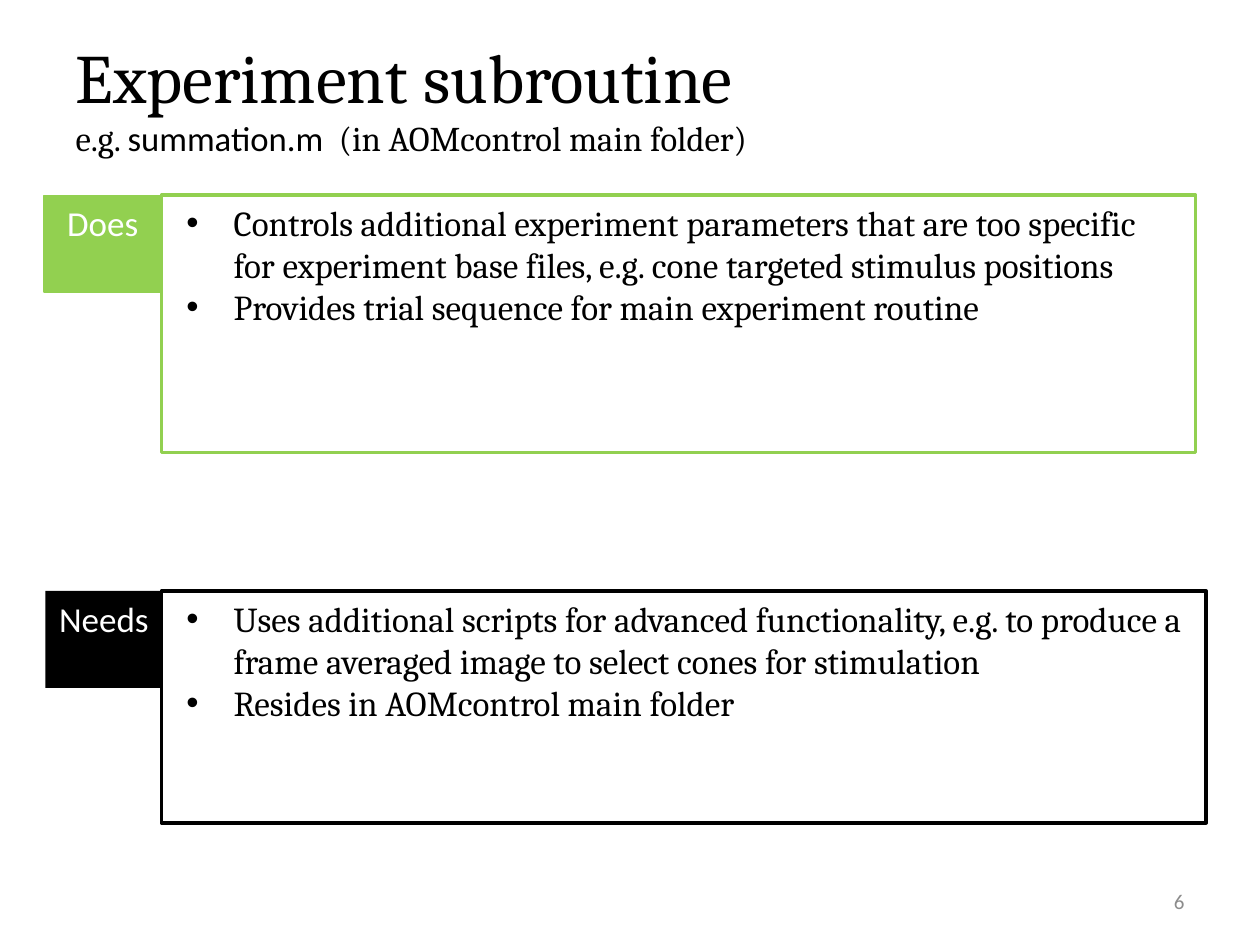
from pptx import Presentation
from pptx.dml.color import RGBColor
from pptx.enum.shapes import MSO_SHAPE
from pptx.enum.text import MSO_ANCHOR, MSO_AUTO_SIZE, PP_ALIGN
from pptx.oxml.ns import qn
from pptx.util import Pt

RECT, FRAME = MSO_SHAPE.RECTANGLE, MSO_SHAPE.FLOWCHART_PROCESS
TOP, MIDDLE = MSO_ANCHOR.TOP, MSO_ANCHOR.MIDDLE
LEFT, CENTER, RIGHT = PP_ALIGN.LEFT, PP_ALIGN.CENTER, PP_ALIGN.RIGHT

# Content
COLORS = {"green": "92D050", "black": "000000", "white": "FFFFFF", "gray": "8C8C8C"}
TITLE = "Experiment subroutine"
SUBTITLE = [("e.g. ", "Cambria"), ("summation.m  ", "Calibri"),
            ("(in AOMcontrol main folder)", "Cambria")]
PAGE_NUMBER = "6"
SECTIONS = [
    dict(label="Does", color="green", top=111.6, label_left=25.2, width=591, height=147,
         bullets=["Controls additional experiment parameters that are too specific for "
                  "experiment base files, e.g. cone targeted stimulus positions",
                  "Provides trial sequence for main experiment routine"]),
    dict(label="Needs", color="black", top=337.7, label_left=25.9, width=597, height=132.5,
         bullets=["Uses additional scripts for advanced functionality, e.g. to produce a "
                  "frame averaged image to select cones for stimulation",
                  "Resides in AOMcontrol main folder"]),
]
FRAME_LEFT, TEXT_GAP = 92.2, 7.2
LABEL_WIDTH, LABEL_HEIGHT = 67, 55.4
INDENT = 27


def rgb(name):
    return RGBColor.from_string(COLORS[name])


def style(font, name, size, color):
    font.name, font.size = name, Pt(size)
    font.color.rgb = rgb(color)


def write(sp, lines, name, size, color, align=LEFT, anchor=TOP):
    tf = sp.text_frame
    tf.word_wrap = True
    tf.vertical_anchor = anchor
    tf.text = "\n".join(lines)
    for p in tf.paragraphs:
        p.alignment = align
        style(p.font, name, size, color)
    return tf


def add_box(s, kind, box, fill=None, line=None, weight=0.75):
    sp = s.shapes.add_shape(kind, *map(Pt, box))
    sp.shadow.inherit = False
    if fill:
        sp.fill.solid()
        sp.fill.fore_color.rgb = rgb(fill)
    else:
        sp.fill.background()
    if line:
        sp.line.color.rgb = rgb(line)
        sp.line.width = Pt(weight)
    else:
        sp.line.fill.background()
    return sp


def add_bullet(p):
    pPr = p._p.get_or_add_pPr()
    pPr.set("marL", str(Pt(INDENT)))
    pPr.set("indent", str(-Pt(INDENT)))
    bullet_font = pPr.makeelement(qn("a:buFont"), {"typeface": "Arial"})
    bullet = pPr.makeelement(qn("a:buChar"), {"char": "•"})
    pPr.insert_element_before(bullet_font, "a:defRPr")
    pPr.insert_element_before(bullet, "a:defRPr")


prs = Presentation()
prs.slide_width, prs.slide_height = Pt(720), Pt(540)
s = prs.slides.add_slide(prs.slide_layouts[5])

# Title and subtitle
title = s.shapes.title
title.left, title.top, title.width, title.height = map(Pt, (36, 21.6, 648, 67))
tf = title.text_frame
tf.auto_size, tf.vertical_anchor = MSO_AUTO_SIZE.NONE, MIDDLE
p = tf.paragraphs[0]
p.alignment = LEFT
r = p.add_run()
r.text = TITLE
style(r.font, "Cambria", 39.6, "black")
p.add_line_break()
for text, name in SUBTITLE:
    r = p.add_run()
    r.text = text
    style(r.font, name, 19.8, "black")

# Labelled sections
for sec in SECTIONS:
    top, width, height = sec["top"], sec["width"], sec["height"]
    edge = "green" if sec["color"] == "green" else None
    label = add_box(s, RECT, (sec["label_left"], top, LABEL_WIDTH, LABEL_HEIGHT),
                    fill=sec["color"], line=edge)
    write(label, [sec["label"]], "Calibri", 20, "white", CENTER)
    add_box(s, FRAME, (FRAME_LEFT, top, width, height), line=sec["color"], weight=2)
    body = s.shapes.add_textbox(Pt(FRAME_LEFT + TEXT_GAP), Pt(top),
                                Pt(width - TEXT_GAP), Pt(80))
    for p in write(body, sec["bullets"], "Cambria", 20, "black").paragraphs:
        add_bullet(p)

# Page number
number = s.shapes.add_textbox(Pt(516), Pt(500.5), Pt(168), Pt(28.8))
write(number, [PAGE_NUMBER], "Calibri", 12, "gray", RIGHT, MIDDLE)

prs.save("out.pptx")
